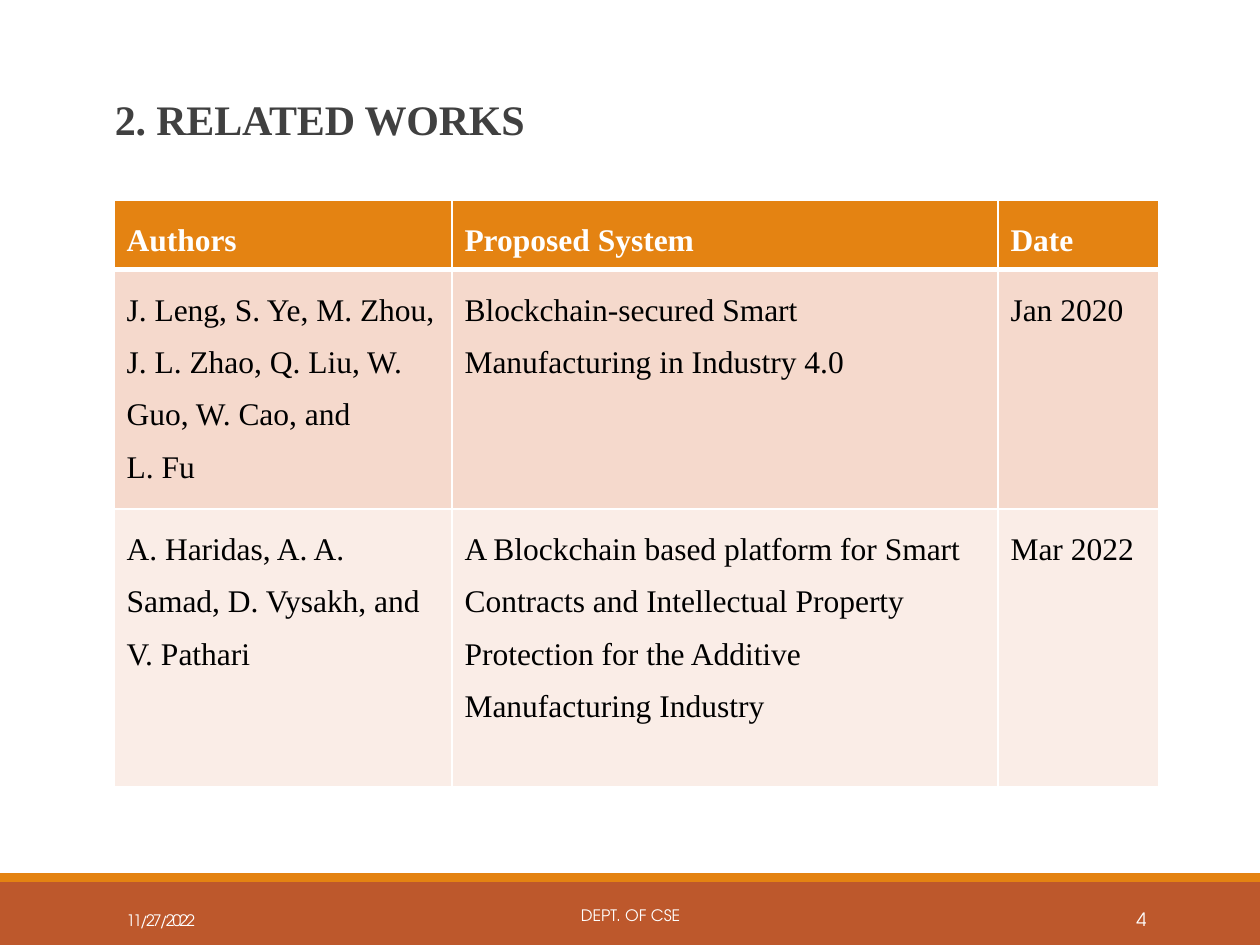
from lxml import etree
from pptx import Presentation
from pptx.dml.color import RGBColor
from pptx.enum.shapes import MSO_SHAPE
from pptx.enum.text import MSO_ANCHOR, PP_ALIGN
from pptx.oxml.ns import qn
from pptx.util import Emu, Pt

RECTANGLE = MSO_SHAPE.RECTANGLE
TOP, MIDDLE = MSO_ANCHOR.TOP, MSO_ANCHOR.MIDDLE
LEFT, CENTER, RIGHT = PP_ALIGN.LEFT, PP_ALIGN.CENTER, PP_ALIGN.RIGHT

WHITE = RGBColor(0xFF, 0xFF, 0xFF)
BLACK = RGBColor(0x00, 0x00, 0x00)
CHARCOAL = RGBColor(0x40, 0x40, 0x40)
ORANGE = RGBColor(0xE4, 0x83, 0x12)
RUST = RGBColor(0xBD, 0x58, 0x2C)
PEACH = RGBColor(0xF5, 0xD9, 0xCC)
BLUSH = RGBColor(0xFA, 0xED, 0xE7)

SERIF = "Times New Roman"
SANS = "TeX Gyre Adventor"

COLUMN_WIDTHS = (338, 546, 161)
ROW_HEIGHTS = (69, 239, 278)
ROW_FILLS = (ORANGE, PEACH, BLUSH)
WORKS = (
    ("Authors", "Proposed System", "Date"),
    (
        "J. Leng, S. Ye, M. Zhou, J. L. Zhao, Q. Liu, W. Guo, W. Cao, and\nL. Fu",
        "Blockchain-secured Smart Manufacturing in Industry 4.0",
        "Jan 2020",
    ),
    (
        "A. Haridas, A. A. Samad, D. Vysakh, and V. Pathari",
        "A Blockchain based platform for Smart Contracts and Intellectual "
        "Property Protection for the Additive Manufacturing Industry",
        "Mar 2022",
    ),
)


def px(length):
    """Turn pixels at 126 to the inch into EMU."""
    return Emu(round(length * 914400 / 126))


def set_font(para, name, size, color, bold=False):
    """Set the font of a whole paragraph."""
    font = para.font
    font.name, font.size, font.bold = name, Pt(size), bold
    font.color.rgb = color


def add_bar(page, box, color):
    """Add a plain filled bar."""
    bar = page.shapes.add_shape(RECTANGLE, *map(px, box))
    bar.shadow.inherit = False
    bar.fill.solid()
    bar.fill.fore_color.rgb = color
    bar.line.fill.background()


def add_label(page, box, text, anchor=MIDDLE, align=LEFT, indent=0, tracking=0):
    """Add a one-line text box and return its frame and paragraph."""
    frame = page.shapes.add_textbox(*map(px, box)).text_frame
    frame.word_wrap = True
    frame.vertical_anchor = anchor
    para = frame.paragraphs[0]
    para.alignment = align
    para._p.get_or_add_pPr().set("marL", str(px(indent)))
    span = para.add_run()
    span.text = text
    span._r.get_or_add_rPr().set("spc", str(tracking))
    return frame, para


def add_title(page, box):
    """Add the slide title."""
    frame, para = add_label(page, box, "2. RELATED WORKS", TOP, indent=1, tracking=-10)
    frame.margin_left = frame.margin_right = frame.margin_bottom = 0
    frame.margin_top = px(2)
    para.space_before = Pt(1.1)
    set_font(para, SERIF, 24, CHARCOAL, True)


def set_borders(cell, bottom, top):
    """Draw white borders around a cell, with given top and bottom widths."""
    properties = cell._tc.get_or_add_tcPr()
    widths = (("a:lnL", 1), ("a:lnR", 1), ("a:lnT", top), ("a:lnB", bottom))
    for place, (tag, width) in enumerate(widths):
        line = etree.Element(qn(tag), w=str(Pt(width)))
        fill = etree.SubElement(line, qn("a:solidFill"))
        etree.SubElement(fill, qn("a:srgbClr"), val=str(WHITE))
        properties.insert(place, line)


def add_works_table(page, box):
    """Add the table of related works."""
    table = page.shapes.add_table(len(WORKS), len(WORKS[0]), *map(px, box)).table
    for column, width in zip(table.columns, COLUMN_WIDTHS):
        column.width = px(width)
    for index, (row, height) in enumerate(zip(table.rows, ROW_HEIGHTS)):
        row.height = px(height)
        header = index == 0
        for cell, text in zip(row.cells, WORKS[index]):
            cell.text = text
            cell.fill.solid()
            cell.fill.fore_color.rgb = ROW_FILLS[index]
            set_borders(cell, 3 if header else 1, 3 if index == 1 else 1)
            for para in cell.text_frame.paragraphs:
                para.line_spacing = 1.5
                set_font(para, SERIF, 18, WHITE if header else BLACK, header)


def add_footer(page, box):
    """Add the footer band with date, department and page number."""
    left, top, width, height = box
    stripe = 9
    add_bar(page, (left, top + stripe, width, height - stripe), RUST)
    add_bar(page, (left, top, width, stripe), ORANGE)
    labels = (
        (113, 256, "11/27/2022", LEFT, 1, -110, 9, Pt(16.8)),
        (381, 499, "DEPT. OF CSE", CENTER, 0, 0, 9, None),
        (1023, 136, "4", RIGHT, 5, -40, 10.5, Pt(16.8)),
    )
    for offset, extent, text, align, indent, tracking, size, spacing in labels:
        label_box = (left + offset, top + 17, extent, 50)
        para = add_label(page, label_box, text, MIDDLE, align, indent, tracking)[1]
        para.line_spacing = spacing
        set_font(para, SANS, size, WHITE)


def main():
    """Build and save the deck."""
    deck = Presentation()
    deck.slide_width, deck.slide_height = px(1260), px(945)
    page = deck.slides.add_slide(deck.slide_layouts[6])
    add_footer(page, (0, 873, 1260, 72))
    add_title(page, (114, 92, 444, 53))
    add_works_table(page, (114, 200, sum(COLUMN_WIDTHS), sum(ROW_HEIGHTS)))
    deck.save("out.pptx")


if __name__ == "__main__":
    main()
